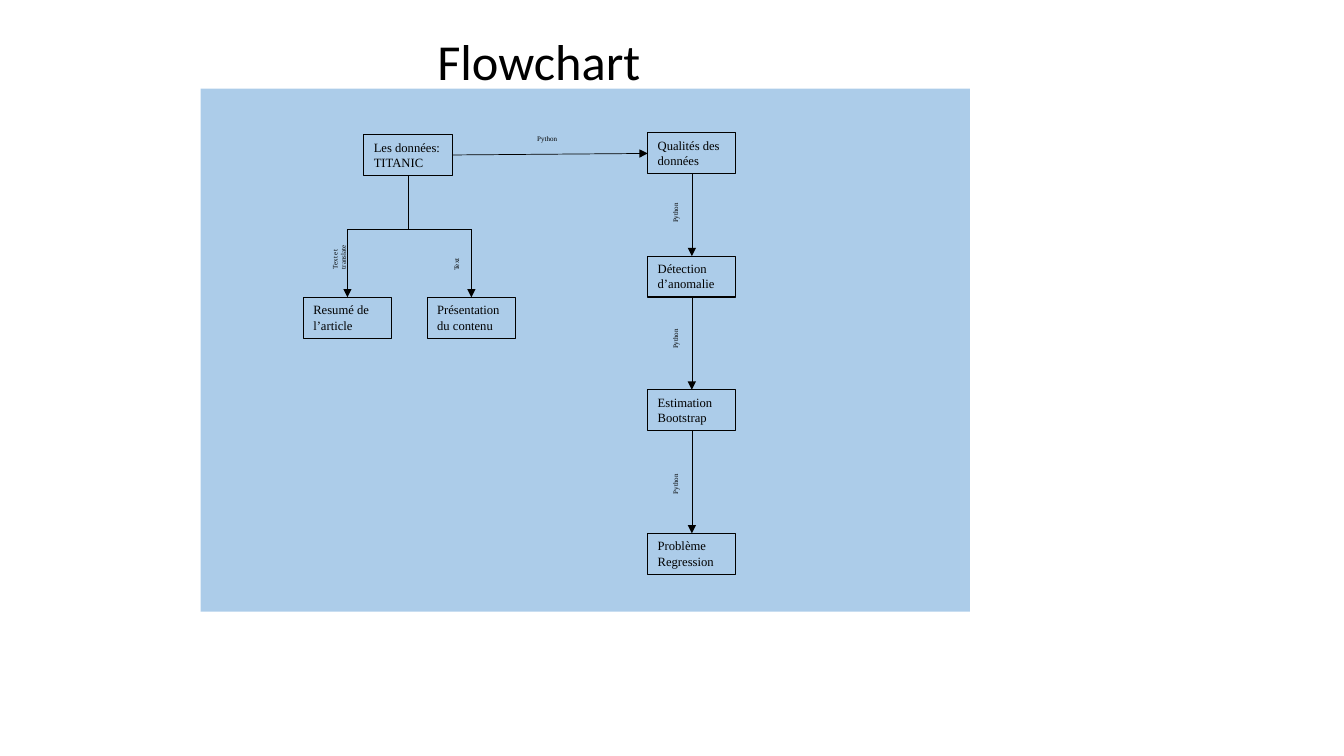
from lxml import etree
from pptx import Presentation
from pptx.dml.color import RGBColor
from pptx.enum.shapes import MSO_CONNECTOR, MSO_SHAPE
from pptx.enum.text import MSO_ANCHOR, PP_ALIGN
from pptx.oxml.ns import qn
from pptx.util import Pt

STRAIGHT = MSO_CONNECTOR.STRAIGHT
RECTANGLE = MSO_SHAPE.RECTANGLE
TOP_ANCHOR = MSO_ANCHOR.TOP
LEFT_ALIGN = PP_ALIGN.LEFT

BLACK = RGBColor(0x00, 0x00, 0x00)
BLUE = RGBColor(0x5B, 0x9B, 0xD5)

SERIF = "Times New Roman"
SANS = "Calibri"

BOX_WIDTH, BOX_HEIGHT = 63, 29.2
TOP, LEFT, BOTTOM, RIGHT = range(4)
BRANCH_TOP = 163.8
STEP_LEFT = 462.7
STEPS = [
    ("Qualités des données", 95),
    ("Détection d’anomalie", 183),
    ("Estimation Bootstrap", 278.4),
    ("Problème Regression", 381),
]
STEP_LABEL_TOPS = [143.3, 233.3, 337]
OUTPUT_TOP = 212.4
OUTPUTS = [("Resumé de l’article", 216.7), ("Présentation du contenu", 305.2)]


def write(shape, text, size, font):
    """Put one left-aligned black run into a shape."""
    frame = shape.text_frame
    frame.word_wrap = True
    frame.vertical_anchor = TOP_ANCHOR
    para = frame.paragraphs[0]
    para.alignment = LEFT_ALIGN
    span = para.add_run()
    span.text = text
    span.font.size = Pt(size)
    span.font.name = font
    span.font.color.rgb = BLACK


def add_panel(page, left, top, width, height):
    """Draw the half-transparent blue background."""
    panel = page.shapes.add_shape(RECTANGLE, Pt(left), Pt(top), Pt(width), Pt(height))
    panel.shadow.inherit = False
    panel.fill.solid()
    panel.fill.fore_color.rgb = BLUE
    panel.line.fill.background()
    color = panel.fill._xPr.find(".//" + qn("a:srgbClr"))
    etree.SubElement(color, qn("a:alpha"), val="50000")


def add_box(page, text, left, top):
    """Draw an outlined step box and return it."""
    box = page.shapes.add_shape(
        RECTANGLE, Pt(left), Pt(top), Pt(BOX_WIDTH), Pt(BOX_HEIGHT))
    box.shadow.inherit = False
    box.fill.background()
    box.line.color.rgb = BLACK
    box.line.width = Pt(0.75)
    write(box, text, 9, SERIF)
    return box


def add_text(page, text, left, top, width, height, size=5, font=SERIF, rotation=0):
    """Place a text box, turned when a rotation is given."""
    box = page.shapes.add_textbox(Pt(left), Pt(top), Pt(width), Pt(height))
    box.rotation = rotation
    write(box, text, size, font)


def add_line(page, start=(0, 0), end=(0, 0), source=None, target=None, arrow=False):
    """Draw a line between points or joined (box, side) pairs."""
    line = page.shapes.add_connector(STRAIGHT, *(Pt(v) for v in (*start, *end)))
    if source:
        line.begin_connect(*source)
    if target:
        line.end_connect(*target)
    line.line.color.rgb = BLACK
    line.line.width = Pt(0.5)
    if arrow:
        outline = line.line._get_or_add_ln()
        etree.SubElement(outline, qn("a:tailEnd"), type="triangle")
    etree.SubElement(line._element.spPr, qn("a:effectLst"))


def main():
    """Build the flowchart slide."""
    deck = Presentation()
    deck.slide_width, deck.slide_height = Pt(960), Pt(540)
    page = deck.slides.add_slide(deck.slide_layouts[6])

    add_panel(page, 143.4, 63.4, 549.4, 373.6)
    data_left = 259.9
    data = add_box(page, "Les données: TITANIC", data_left, 96.1)

    fork = (data_left + BOX_WIDTH / 2, BRANCH_TOP)
    add_line(page, end=fork, source=(data, BOTTOM))
    for text, left in OUTPUTS:
        output = add_box(page, text, left, OUTPUT_TOP)
        corner = (left + BOX_WIDTH / 2, BRANCH_TOP)
        add_line(page, fork, corner)
        add_line(page, corner, target=(output, TOP), arrow=True)

    steps = [add_box(page, text, STEP_LEFT, top) for text, top in STEPS]
    add_line(page, source=(data, RIGHT), target=(steps[0], LEFT), arrow=True)
    for upper, lower, label_top in zip(steps, steps[1:], STEP_LABEL_TOPS):
        add_line(page, source=(upper, BOTTOM), target=(lower, TOP), arrow=True)
        add_text(page, "Python", 466.6, label_top, 32.4, 13.7, rotation=270)

    add_text(page, "Python", 376.6, 92.9, 32.4, 13.7)
    add_text(page, "Text et translate", 226.1, 173.5, 32.4, 19.4, rotation=270)
    add_text(page, "Text", 311.8, 179.3, 28.8, 13.7, rotation=270)
    add_text(page, "Flowchart", 305.3, 18, 199.4, 51.1, size=36, font=SANS)
    deck.save("out.pptx")


if __name__ == "__main__":
    main()
